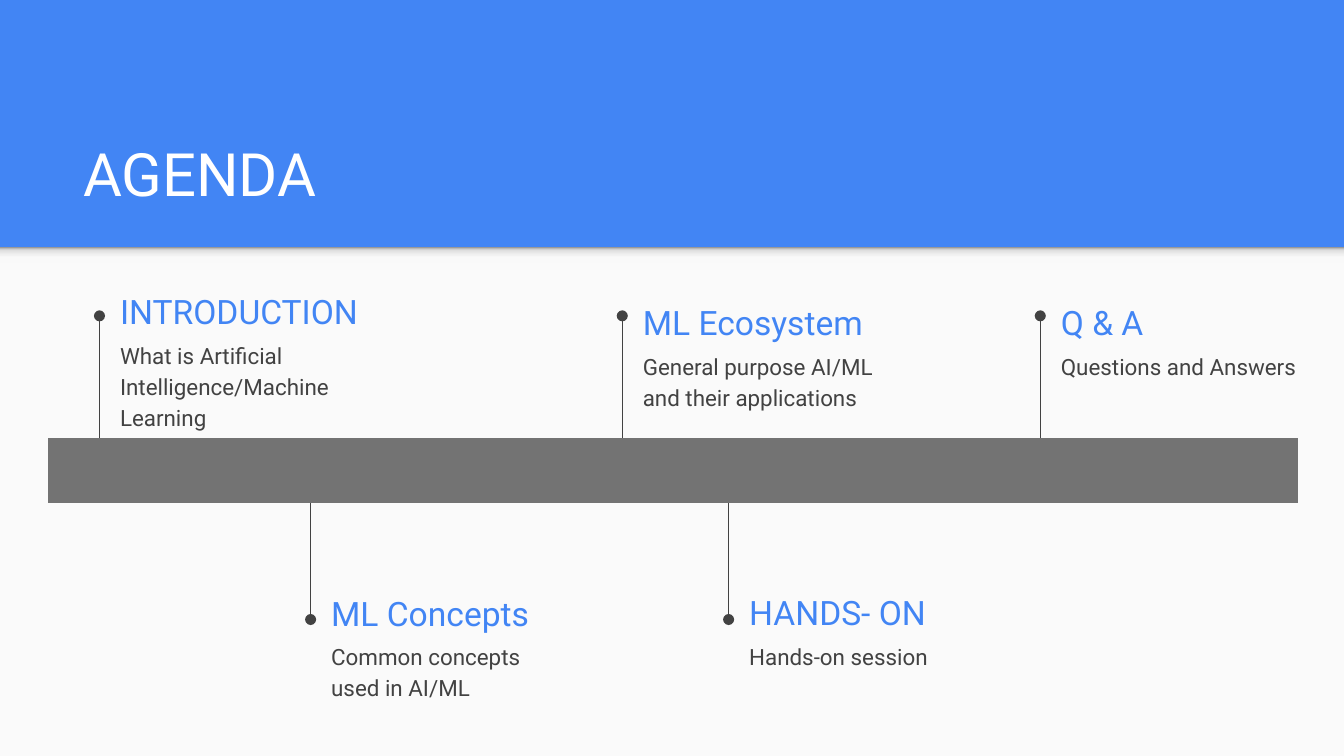
import copy

import pptx
import pptx.dml.color
import pptx.enum.shapes
import pptx.enum.text
import pptx.oxml
import pptx.oxml.ns
import pptx.util

Cm = pptx.util.Cm
Pt = pptx.util.Pt
anchors = pptx.enum.text.MSO_ANCHOR
BLUE, GREY = "4285F4", "424242"


def colour(code):
    return pptx.dml.color.RGBColor.from_string(code)


def add_text(left, top, width, height, words, code, frame_format, para_format, font_format):
    box = page.shapes.add_textbox(Cm(left), Cm(top), Cm(width), Cm(height))
    frame = box.text_frame
    para = frame.paragraphs[0]
    para.text = words
    para.font.color.rgb = colour(code)
    margins = {"margin_" + side: Cm(0.25) for side in ("left", "top", "right", "bottom")}
    for target, formats in (
        (frame, {"word_wrap": True, **margins, **frame_format}),
        (para, para_format),
        (para.font, {"name": "Roboto", **font_format}),
    ):
        for name, value in formats.items():
            setattr(target, name, value)


deck = pptx.Presentation()
deck.slide_width, deck.slide_height = Cm(25.4), Cm(14.29)
page = deck.slides.add_slide(deck.slide_layouts[6])
page.background.fill.solid()
page.background.fill.fore_color.rgb = colour(BLUE)

bands = []
for height in (9.62, 0.3):
    band = page.shapes.add_shape(
        pptx.enum.shapes.MSO_SHAPE.RECTANGLE, Cm(0), Cm(4.67), Cm(25.4), Cm(height)
    )
    band.shadow.inherit = False
    band.line.fill.background()
    bands.append(band)
panel, edge = bands
panel.fill.solid()
panel.fill.fore_color.rgb = colour("FAFAFA")

edge.fill.gradient()
edge.fill.gradient_angle = 90
stop_list = edge._element.xpath(".//a:gsLst")[0]
for stop in list(stop_list):
    stop_list.append(copy.deepcopy(stop))
shades = ((0, "F9F9F9"), (0.36, "F9F9F9"), (0.8, "DEDEDE"), (1, "999999"))
for stop, (position, code) in zip(edge.fill.gradient_stops, shades):
    stop.position = position
    stop.color.rgb = colour(code)

add_text(1.32, 2.06, 22.83, 2.13, "AGENDA", "FFFFFF",
         {"vertical_anchor": anchors.BOTTOM}, {"space_after": Pt(4)}, {"size": Pt(32)})

ABOVE, BELOW = (8.28, 5.97), (9.37, 11.71)
topics = [
    (1.88, ABOVE, 5.33, 6.15, "INTRODUCTION", "What is Artificial Intelligence/Machine Learning"),
    (5.87, BELOW, 11.05, 11.84, "ML Concepts", "Common concepts used in AI/ML"),
    (11.76, ABOVE, 5.54, 6.35, "ML Ecosystem", "General purpose AI/ML and their applications"),
    (13.77, BELOW, 11.02, 11.84, "HANDS- ON", "Hands-on session"),
    (19.66, ABOVE, 5.54, 6.35, "Q & A", "Questions and Answers"),
]
for left, (start, end), title_top, body_top, title, body in topics:
    marker = page.shapes.add_connector(
        pptx.enum.shapes.MSO_CONNECTOR.STRAIGHT, Cm(left), Cm(start), Cm(left), Cm(end)
    )
    marker.line.width = Pt(0.75)
    marker.line.color.rgb = colour(GREY)
    tail = pptx.oxml.parse_xml(
        f'<a:tailEnd {pptx.oxml.ns.nsdecls("a")} type="oval" w="med" len="med"/>'
    )
    marker.line._get_or_add_ln().append(tail)
    marker._element.spPr.append(
        pptx.oxml.parse_xml(f'<a:effectLst {pptx.oxml.ns.nsdecls("a")}/>')
    )
    add_text(left + 0.14, title_top, 5.03, 1.09, title, BLUE,
             {"vertical_anchor": anchors.MIDDLE}, {}, {"size": Pt(18)})
    add_text(left + 0.14, body_top, 5.03, 1.6, body, GREY,
             {"vertical_anchor": anchors.TOP},
             {"line_spacing": 1.15, "space_after": Pt(16)}, {"size": Pt(12)})

months = 12
bar = page.shapes.add_table(1, months, Cm(0.9), Cm(8.28), Cm(1.97 * months), Cm(1.23)).table
for cell in bar.iter_cells():
    cell.fill.solid()
    cell.fill.fore_color.rgb = colour("737373")
    for side in ("L", "R", "T", "B"):
        border = pptx.oxml.parse_xml(
            f'<a:ln{side} {pptx.oxml.ns.nsdecls("a")} w="0"><a:noFill/></a:ln{side}>'
        )
        cell._tc.tcPr.insert("LRTB".index(side), border)

deck.save("out.pptx")
